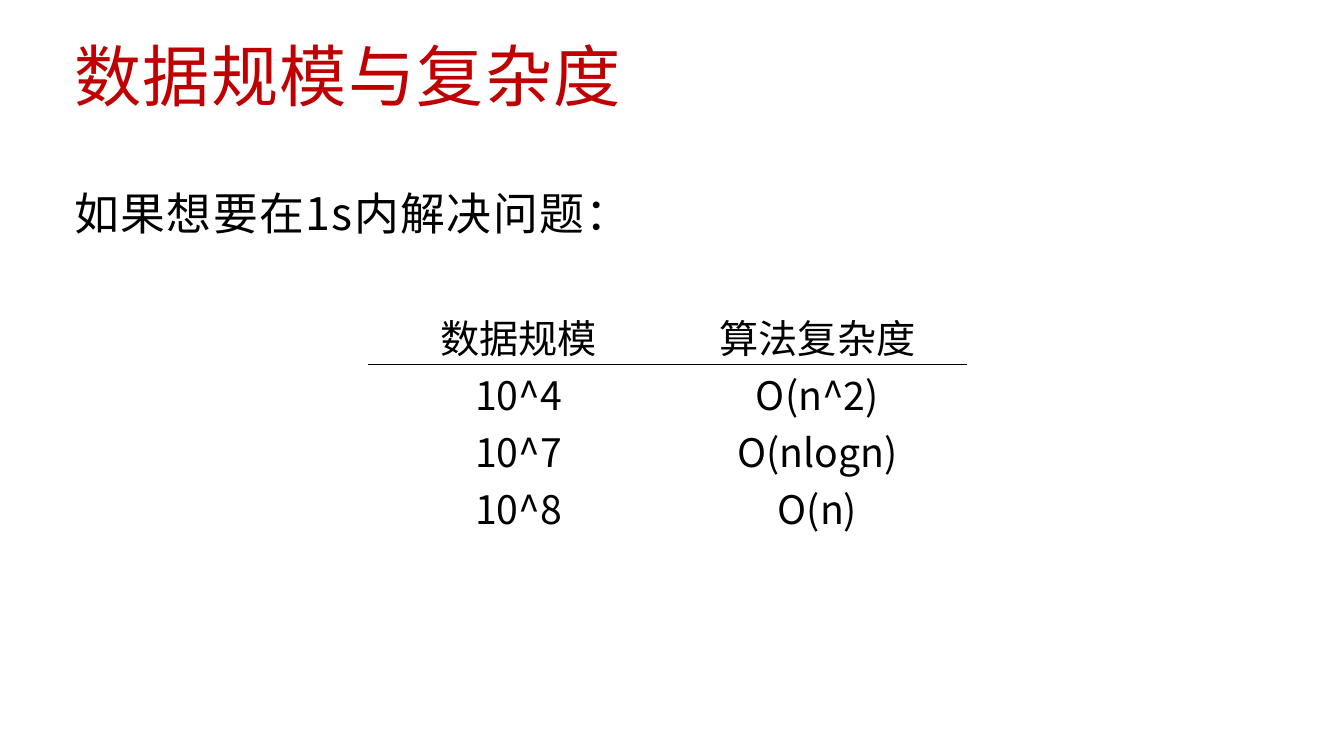
from lxml import etree
from pptx import Presentation
from pptx.dml.color import RGBColor
from pptx.enum.text import MSO_ANCHOR, PP_ALIGN
from pptx.oxml.ns import qn
from pptx.util import Inches, Pt

RED = RGBColor(0xC0, 0x00, 0x00)
BLACK = RGBColor(0x00, 0x00, 0x00)
FONT = "Noto Sans CJK SC"

COMPLEXITY = [
    ("数据规模", "算法复杂度"),
    ("10^4", "O(n^2)"),
    ("10^7", "O(nlogn)"),
    ("10^8", "O(n)"),
]


def add_run(paragraph, text, size, color, spacing=0):
    run = paragraph.add_run()
    run.text = text
    run.font.size = Pt(size)
    run.font.name = FONT
    run.font.color.rgb = color
    # East Asian typeface and letter spacing (hundredths of a point)
    props = run._r.get_or_add_rPr()
    etree.SubElement(props, qn("a:ea"), typeface=FONT)
    if spacing:
        props.set("spc", str(spacing * 100))


def add_heading(slide, left, top, width, height, text, size, color, wrap=True):
    box = slide.shapes.add_textbox(
        Inches(left), Inches(top), Inches(width), Inches(height))
    box.text_frame.word_wrap = wrap
    paragraph = box.text_frame.paragraphs[0]
    paragraph.line_spacing = 0.9
    add_run(paragraph, text, size, color, spacing=1)


def add_rule(cell, side):
    """Draw a 1 pt black border on one side ("lnT" or "lnB") of a cell."""
    line = etree.Element(qn("a:" + side), w=str(Pt(1)))
    fill = etree.SubElement(line, qn("a:solidFill"))
    etree.SubElement(fill, qn("a:srgbClr"), val=str(BLACK))
    cell._tc.get_or_add_tcPr().insert(0, line)  # borders precede the fill


def add_complexity_table(slide, left, top, width, height):
    rows, cols = len(COMPLEXITY), len(COMPLEXITY[0])
    table = slide.shapes.add_table(
        rows, cols, Inches(left), Inches(top), Inches(width), Inches(height)).table
    table.first_row = table.horz_banding = False
    for r, values in enumerate(COMPLEXITY):
        for c, value in enumerate(values):
            cell = table.cell(r, c)
            cell.fill.background()
            cell.margin_top = cell.margin_bottom = 0
            cell.vertical_anchor = MSO_ANCHOR.MIDDLE
            paragraph = cell.text_frame.paragraphs[0]
            paragraph.alignment = PP_ALIGN.CENTER
            add_run(paragraph, value, 28, BLACK)
            # Rule between the header and the body
            if r < 2:
                add_rule(cell, "lnB" if r == 0 else "lnT")


def build_complexity_slide(prs):
    slide = prs.slides.add_slide(prs.slide_layouts[6])
    add_heading(slide, 0.64, 0.38, 7.02, 0.91, "数据规模与复杂度", 48, RED)
    add_heading(slide, 0.64, 1.85, 5.79, 0.64, "如果想要在1s内解决问题：", 32, BLACK,
                wrap=False)
    add_complexity_table(slide, 3.66, 3.05, 5.93, 2.27)


prs = Presentation()
prs.slide_width, prs.slide_height = Inches(13.33), Inches(7.5)
build_complexity_slide(prs)
prs.save("out.pptx")
